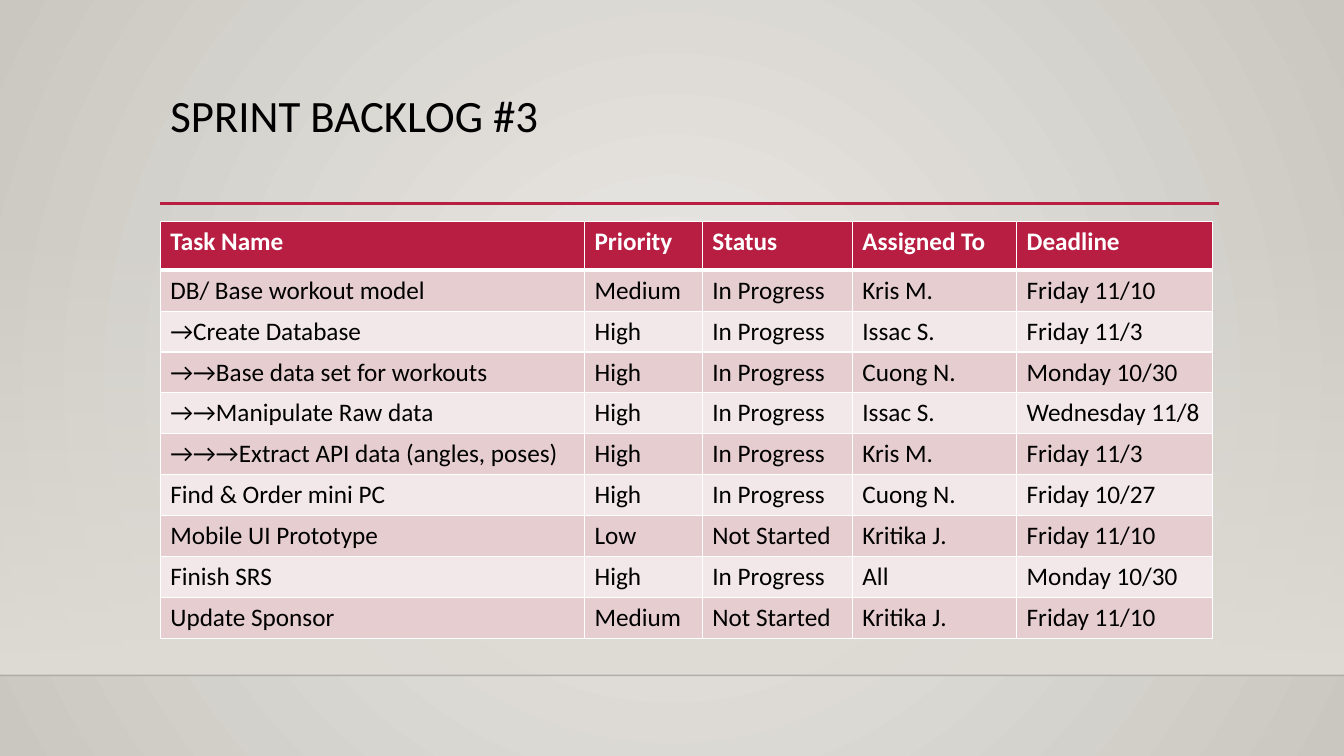
from dataclasses import astuple, dataclass

from lxml import etree
from pptx import Presentation
from pptx.dml.color import RGBColor
from pptx.enum.shapes import MSO_CONNECTOR, MSO_SHAPE
from pptx.enum.text import MSO_ANCHOR, PP_ALIGN
from pptx.oxml import parse_xml
from pptx.oxml.ns import qn
from pptx.util import Cm, Pt

STRAIGHT = MSO_CONNECTOR.STRAIGHT
RECTANGLE = MSO_SHAPE.RECTANGLE
TOP = MSO_ANCHOR.TOP
LEFT = PP_ALIGN.LEFT

FONT = "Calibri"
NS = "http://schemas.openxmlformats.org/drawingml/2006/main"
COLORS = {
    "bg_center": "ECEAE7",
    "bg_edge": "CAC7C1",
    "wall": "DFDBD5",
    "floor_line": "000001",
    "accent": "B71E42",
    "row_dark": "E6CDCF",
    "row_light": "F3E8E9",
    "white": "FFFFFF",
    "black": "000000",
}
SLIDE_W, SLIDE_H = 33.87, 19.05
MARGIN, FLOOR_Y, WALL_Y = 4.04, 17.02, 5.61
TABLE_Y, HEADER_H, ROW_H = 5.59, 1.22, 1.03


@dataclass
class Task:
    name: str
    priority: str
    status: str
    assignee: str
    deadline: str


@dataclass
class Rule:
    x1: float
    x2: float
    y: float
    color: str
    width: float
    opacity: int = 100


HEADER = Task("Task Name", "Priority", "Status", "Assigned To", "Deadline")
COLUMN_WIDTHS = Task(10.69, 2.97, 3.78, 4.14, 4.93)
TASKS = [
    Task("DB/ Base workout model", "Medium", "In Progress", "Kris M.", "Friday 11/10"),
    Task("→Create Database", "High", "In Progress", "Issac S.", "Friday 11/3"),
    Task("→→Base data set for workouts", "High", "In Progress", "Cuong N.", "Monday 10/30"),
    Task("→→Manipulate Raw data", "High", "In Progress", "Issac S.", "Wednesday 11/8"),
    Task("→→→Extract API data (angles, poses)", "High", "In Progress", "Kris M.", "Friday 11/3"),
    Task("Find & Order mini PC", "High", "In Progress", "Cuong N.", "Friday 10/27"),
    Task("Mobile UI Prototype", "Low", "Not Started", "Kritika J.", "Friday 11/10"),
    Task("Finish SRS", "High", "In Progress", "All", "Monday 10/30"),
    Task("Update Sponsor", "Medium", "Not Started", "Kritika J.", "Friday 11/10"),
]
RULES = [
    Rule(0, SLIDE_W, FLOOR_Y, "floor_line", 1, 20),
    Rule(MARGIN, 30.73, 5.13, "accent", 2.5),
]


def rgb(name: str) -> RGBColor:
    return RGBColor.from_string(COLORS[name])


def color_xml(name: str, opacity: int = 100) -> str:
    return f'<a:srgbClr val="{COLORS[name]}"><a:alpha val="{opacity * 1000}"/></a:srgbClr>'


def set_gradient(parent, start: str, end: str, direction: str) -> None:
    """Replace the solid fill of parent with a two-stop gradient."""
    old = parent.find(".//" + qn("a:solidFill"))
    old.getparent().replace(old, parse_xml(
        f'<a:gradFill xmlns:a="{NS}" rotWithShape="1"><a:gsLst>'
        f'<a:gs pos="0">{start}</a:gs><a:gs pos="100000">{end}</a:gs>'
        f'</a:gsLst>{direction}</a:gradFill>'))


def add_run(p, text: str, size: float, color: str, bold: bool = False) -> None:
    r = p.add_run()
    r.text = text
    r.font.name = FONT
    r.font.size = Pt(size)
    r.font.bold = bold
    r.font.color.rgb = rgb(color)


def add_rule(s, rule: Rule) -> None:
    line = s.shapes.add_connector(
        STRAIGHT, Cm(rule.x1), Cm(rule.y), Cm(rule.x2), Cm(rule.y))
    line.line.width = Pt(rule.width)
    line.line.color.rgb = rgb(rule.color)
    sp_pr = line.element.spPr
    if rule.opacity < 100:
        color = sp_pr.find(".//" + qn("a:srgbClr"))
        etree.SubElement(color, qn("a:alpha"), val=str(rule.opacity * 1000))
    etree.SubElement(sp_pr, qn("a:effectLst"))


def set_borders(cell, top: int, bottom: int) -> None:
    tc_pr = cell._tc.get_or_add_tcPr()
    for side, width in zip("LRTB", (1, 1, top, bottom)):
        tc_pr.append(parse_xml(
            f'<a:ln{side} xmlns:a="{NS}" w="{Pt(width)}">'
            f'<a:solidFill>{color_xml("white")}</a:solidFill></a:ln{side}>'))


def add_backlog(s) -> None:
    rows, widths = [HEADER, *TASKS], astuple(COLUMN_WIDTHS)
    height = HEADER_H + ROW_H * len(TASKS)
    table = s.shapes.add_table(len(rows), len(widths), Cm(MARGIN), Cm(TABLE_Y),
                               Cm(sum(widths)), Cm(height)).table
    table.horz_banding = False
    for column, width in zip(table.columns, widths):
        column.width = Cm(width)
    for i, task in enumerate(rows):
        header = i == 0
        table.rows[i].height = Cm(HEADER_H if header else ROW_H)
        fill = "accent" if header else "row_dark" if i % 2 else "row_light"
        for j, text in enumerate(astuple(task)):
            cell = table.cell(i, j)
            set_borders(cell, 3 if i == 1 else 1, 3 if header else 1)
            cell.fill.solid()
            cell.fill.fore_color.rgb = rgb(fill)
            add_run(cell.text_frame.paragraphs[0], text, 18,
                    "white" if header else "black", header)


def main() -> None:
    prs = Presentation()
    prs.slide_width, prs.slide_height = Cm(SLIDE_W), Cm(SLIDE_H)
    s = prs.slides.add_slide(prs.slide_layouts[5])

    # Background
    s.background.fill.solid()
    set_gradient(s.element, color_xml("bg_center"), color_xml("bg_edge"),
                 '<a:path path="circle"><a:fillToRect l="50000" t="50000" '
                 'r="50000" b="50000"/></a:path>')

    # Wall fading in towards the floor line
    sp = s.shapes.add_shape(RECTANGLE, 0, Cm(WALL_Y), Cm(SLIDE_W), Cm(FLOOR_Y - WALL_Y))
    sp.shadow.inherit = False
    sp.line.fill.background()
    sp.fill.solid()
    set_gradient(sp.element.spPr, color_xml("wall", 0), color_xml("wall"),
                 '<a:lin ang="5400000" scaled="0"/>')

    # Floor line and title underline
    for rule in RULES:
        add_rule(s, rule)

    # Title
    title = s.shapes.title
    title.left, title.top, title.width, title.height = Cm(MARGIN), Cm(2.24), Cm(26.67), Cm(2.92)
    tf = title.text_frame
    tf.word_wrap = True
    tf.vertical_anchor = TOP
    p = tf.paragraphs[0]
    p.alignment = LEFT
    p.line_spacing = 0.9
    add_run(p, "SPRINT BACKLOG #3", 32, "black")

    # Backlog table
    add_backlog(s)

    prs.save("out.pptx")


if __name__ == "__main__":
    main()
